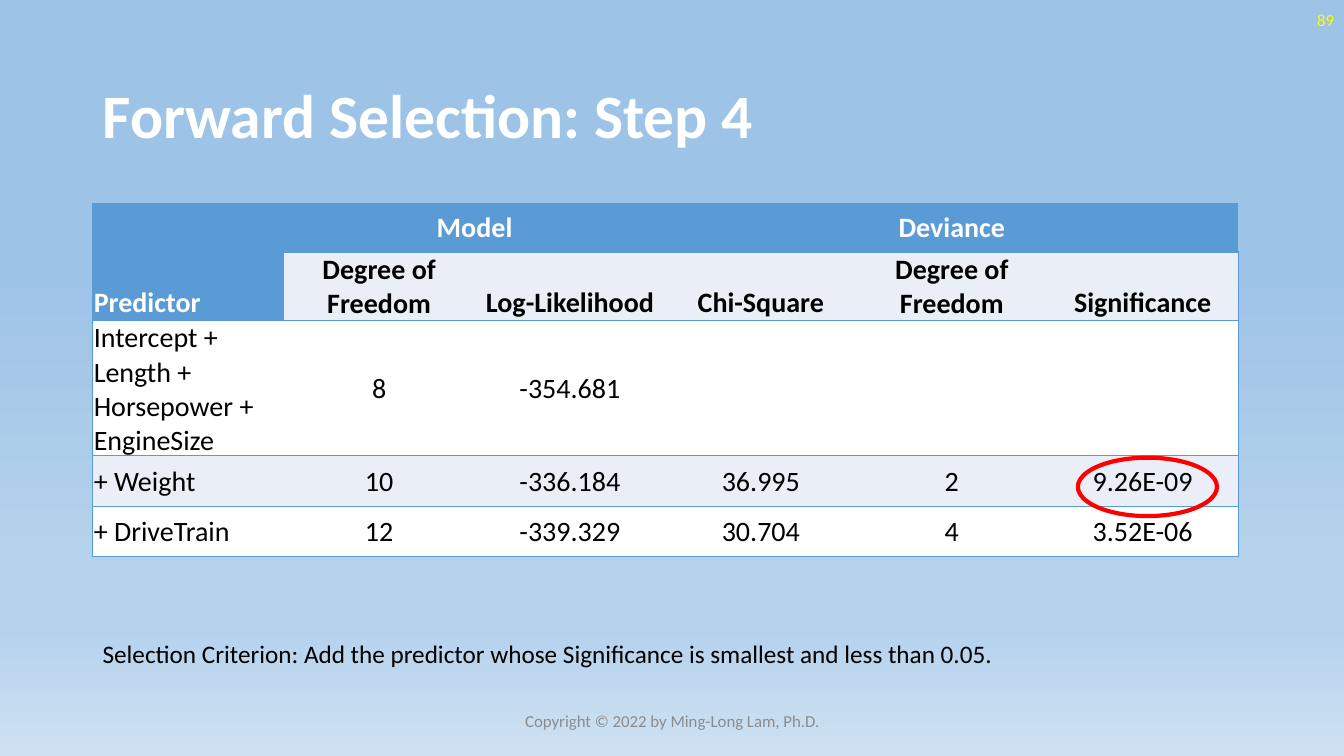
from lxml import etree
from pptx import Presentation
from pptx.dml.color import RGBColor
from pptx.enum.shapes import MSO_SHAPE
from pptx.enum.text import MSO_ANCHOR, PP_ALIGN
from pptx.oxml.ns import qn
from pptx.util import Inches, Pt

LEFT, CENTER, RIGHT = PP_ALIGN.LEFT, PP_ALIGN.CENTER, PP_ALIGN.RIGHT
TOP, MIDDLE, BOTTOM = MSO_ANCHOR.TOP, MSO_ANCHOR.MIDDLE, MSO_ANCHOR.BOTTOM
FONT = "Calibri"
NO_TABLE_STYLE = "{2D5ABB26-0587-4C30-8999-92F81FD0307C}"
COLORS = {
    "white": "FFFFFF", "black": "000000", "blue": "5B9BD5", "band": "EAEFF7",
    "yellow": "FFFF00", "gray": "8C8C8C", "red": "FF0000",
}

# Content
BACKGROUND_STOPS = [(35, "9DC3E6"), (74, "B5D2EC"), (83, "B5D2EC"), (100, "CEE1F2")]
# text, (left, top, width, height), size, color, bold, alignment, anchor
TEXTS = [
    ("Forward Selection: Step 4", (0.92, 0.4, 11.5, 1.45), 44, "white", True, LEFT, MIDDLE),
    ("89", (10.33, 0, 3, 0.4), 12, "yellow", False, RIGHT, MIDDLE),
    ("Copyright © 2022 by Ming-Long Lam, Ph.D.", (4.42, 6.95, 4.5, 0.4),
     12, "gray", False, CENTER, MIDDLE),
    ("Selection Criterion: Add the predictor whose Significance is smallest and less than 0.05.",
     (0.92, 6.28, 11.37, 0.4), 18, "black", False, LEFT, TOP),
]
ROWS = [
    ["Predictor", "Model", "", "Deviance", "", ""],
    ["", "Degree of Freedom", "Log-Likelihood", "Chi-Square", "Degree of Freedom", "Significance"],
    ["Intercept + Length + Horsepower + EngineSize", "8", "-354.681", "", "", ""],
    ["+ Weight", "10", "-336.184", "36.995", "2", "9.26E-09"],
    ["+ DriveTrain", "12", "-339.329", "30.704", "4", "3.52E-06"],
]
MERGES = [((0, 0), (1, 0)), ((0, 1), (0, 2)), ((0, 3), (0, 5))]
TABLE_BOX = (0.92, 2.02, 11.36, 2.48)
ROW_HEIGHTS = [0.48, 0.5, 0.5, 0.5, 0.5]
HIGHLIGHT_BOX = (10.69, 4.54, 1.38, 0.58)


def color(name):
    return RGBColor.from_string(COLORS[name])


def inches(box):
    return [Inches(value) for value in box]


def style(paragraph, size, color_name, bold, alignment):
    paragraph.alignment = alignment
    font = paragraph.font
    font.name, font.size, font.bold = FONT, Pt(size), bold
    font.color.rgb = color(color_name)


def add_border(cell, side):
    line = etree.Element(qn("a:ln" + side), w=str(Pt(1)))
    fill = etree.SubElement(line, qn("a:solidFill"))
    etree.SubElement(fill, qn("a:srgbClr"), val=COLORS["blue"])
    return line


def set_borders(cell, sides):
    # Border lines come before the fill in the cell properties
    properties = cell._tc.get_or_add_tcPr()
    for position, side in enumerate(sides):
        properties.insert(position, add_border(cell, side))


presentation = Presentation()
presentation.slide_width, presentation.slide_height = Inches(13.33), Inches(7.5)
slide = presentation.slides.add_slide(presentation.slide_layouts[6])

# Background gradient, top to bottom
background = slide.background.fill
background.gradient()
background.gradient_angle = 270
stop_list = next(slide.element.iter(qn("a:gsLst")))
for stop in list(stop_list):
    stop_list.remove(stop)
for position, value in BACKGROUND_STOPS:
    stop = etree.SubElement(stop_list, qn("a:gs"), pos=str(position * 1000))
    etree.SubElement(stop, qn("a:srgbClr"), val=value)

# Title, page number, footer and criterion
for text, box, size, color_name, bold, alignment, anchor in TEXTS:
    frame = slide.shapes.add_textbox(*inches(box)).text_frame
    frame.word_wrap = True
    frame.vertical_anchor = anchor
    frame.text = text
    style(frame.paragraphs[0], size, color_name, bold, alignment)

# Table
column_count = len(ROWS[0])
table_frame = slide.shapes.add_table(len(ROWS), column_count, *inches(TABLE_BOX))
table = table_frame.table
table.first_row = table.horz_banding = False
next(table_frame._element.iter(qn("a:tableStyleId"))).text = NO_TABLE_STYLE
for column in table.columns:
    column.width = Inches(TABLE_BOX[2] / column_count)
for row, height in zip(table.rows, ROW_HEIGHTS):
    row.height = Inches(height)

for r, values in enumerate(ROWS):
    for c, text in enumerate(values):
        cell = table.cell(r, c)
        heading = r == 0 or (r == 1 and c == 0)
        cell.fill.solid()
        cell.fill.fore_color.rgb = color("blue" if heading else "band" if r % 2 else "white")
        cell.margin_left = cell.margin_right = cell.margin_top = Inches(0.01)
        cell.margin_bottom = 0
        cell.vertical_anchor = BOTTOM if r == 1 or (r, c) == (0, 0) else MIDDLE
        cell.text = text
        style(cell.text_frame.paragraphs[0], 20, "white" if heading else "black",
              r < 2, CENTER if c else LEFT)
        sides = (["L"] if c == 0 else []) + (["R"] if c == column_count - 1 else [])
        set_borders(cell, sides + ["T", "B"])
for first, last in MERGES:
    table.cell(*first).merge(table.cell(*last))

# Ring around the smallest significance
ring = slide.shapes.add_shape(MSO_SHAPE.OVAL, *inches(HIGHLIGHT_BOX))
ring.shadow.inherit = False
ring.fill.background()
ring.line.color.rgb = color("red")
ring.line.width = Pt(3)

presentation.save("out.pptx")
